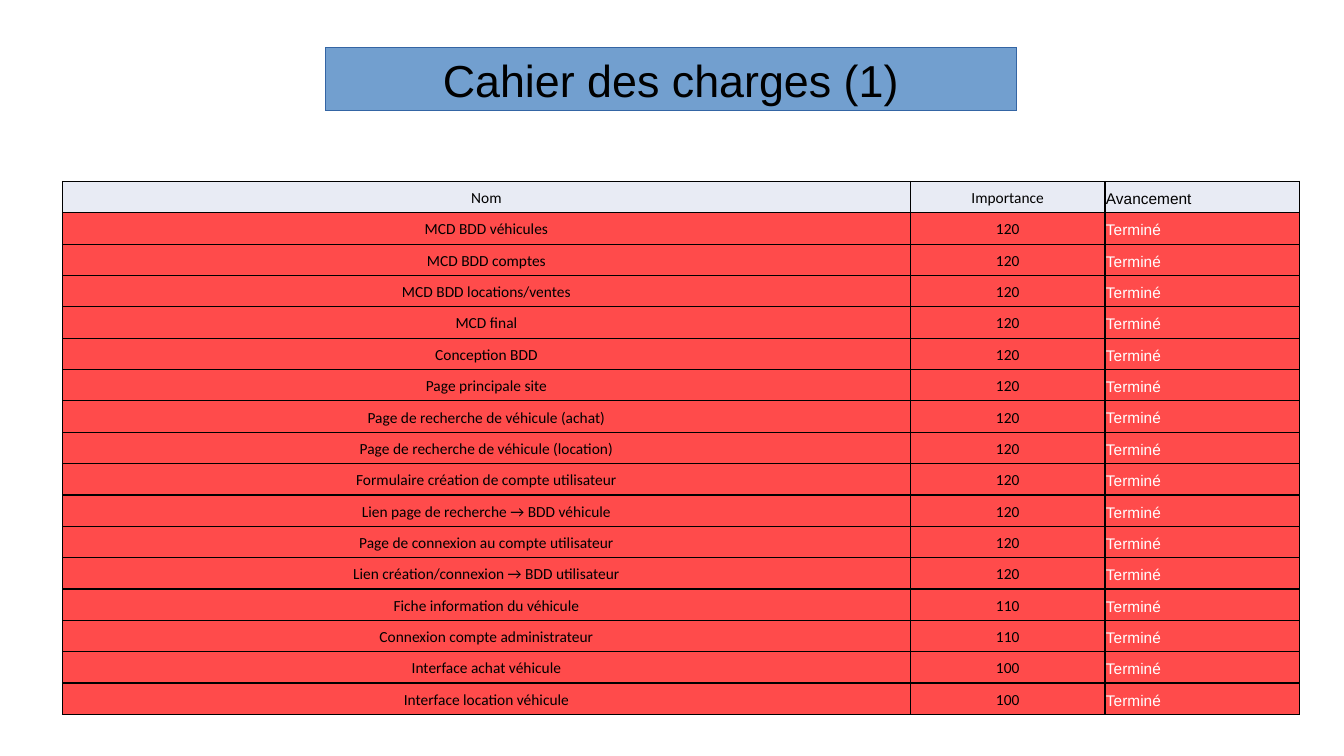
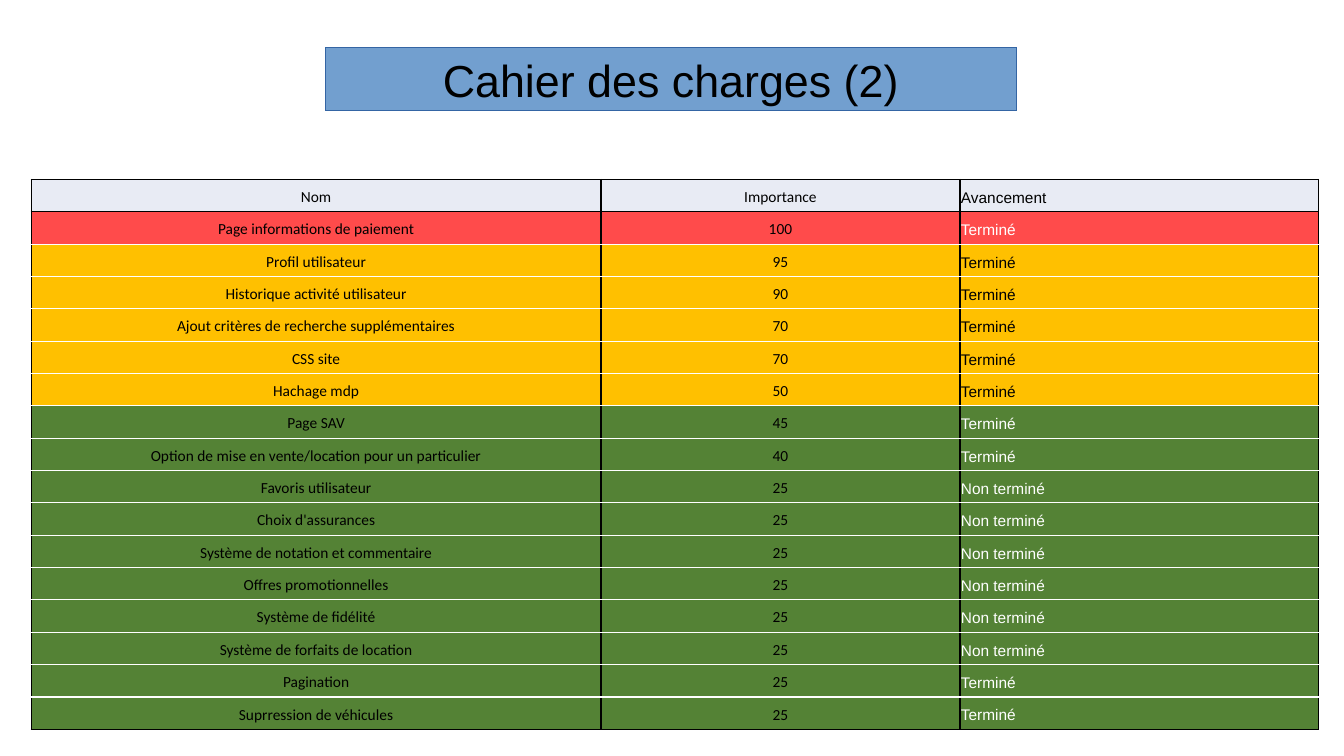
from lxml.etree import SubElement as Sub
from pptx import Presentation
from pptx.dml.color import RGBColor
from pptx.enum.text import MSO_ANCHOR as Anchor, PP_ALIGN as Align
from pptx.oxml.ns import qn
from pptx.util import Inches, Pt

WIDE, HIGH = Inches(13.33), Inches(7.5)
BLACK, WHITE = "000000", "FFFFFF"
BLUE, NAVY, PALE = "729FCF", "3465A4", "E8EBF4"
RED, AMBER, GREEN = "FF4B4B", "FFC000", "548235"
DONE, OPEN = "Terminé", "Non terminé"

# Boxes are left, top, width, height in percent of the slide.
BAND = (24.23, 6.27, 51.39, 8.4)
HEAD = ("Nom", "Importance", "Avancement")

TASKS_1 = [
    ("MCD BDD véhicules", 120, DONE),
    ("MCD BDD comptes", 120, DONE),
    ("MCD BDD locations/ventes", 120, DONE),
    ("MCD final", 120, DONE),
    ("Conception BDD", 120, DONE),
    ("Page principale site", 120, DONE),
    ("Page de recherche de véhicule (achat)", 120, DONE),
    ("Page de recherche de véhicule (location)", 120, DONE),
    ("Formulaire création de compte utilisateur", 120, DONE),
    ("Lien page de recherche → BDD véhicule", 120, DONE),
    ("Page de connexion au compte utilisateur", 120, DONE),
    ("Lien création/connexion → BDD utilisateur", 120, DONE),
    ("Fiche information du véhicule", 110, DONE),
    ("Connexion compte administrateur", 110, DONE),
    ("Interface achat véhicule", 100, DONE),
    ("Interface location véhicule", 100, DONE),
]
TASKS_2 = [
    ("Page informations de paiement", 100, DONE),
    ("Profil utilisateur", 95, DONE),
    ("Historique activité utilisateur", 90, DONE),
    ("Ajout critères de recherche supplémentaires", 70, DONE),
    ("CSS site", 70, DONE),
    ("Hachage mdp", 50, DONE),
    ("Page SAV", 45, DONE),
    ("Option de mise en vente/location pour un particulier", 40, DONE),
    ("Favoris utilisateur", 25, OPEN),
    ("Choix d'assurances", 25, OPEN),
    ("Système de notation et commentaire", 25, OPEN),
    ("Offres promotionnelles", 25, OPEN),
    ("Système de fidélité", 25, OPEN),
    ("Système de forfaits de location", 25, OPEN),
    ("Pagination", 25, DONE),
    ("Suprression de véhicules", 25, DONE),
]


def scale(box):
    """Turn a box in percent into slide units."""
    return [round(part * side / 100)
            for part, side in zip(box, (WIDE, HIGH, WIDE, HIGH))]


def paint(fmt, tint):
    fmt.solid()
    fmt.fore_color.rgb = RGBColor.from_string(tint)


def write(frame, text, font, size, tint, align):
    para = frame.paragraphs[0]
    para.alignment = align
    run = para.add_run()
    run.text = text
    run.font.name, run.font.size = font, Pt(size)
    paint(run.font.fill, tint)


def place_title(slide, text):
    title = slide.shapes.title
    title.left, title.top, title.width, title.height = scale(BAND)
    paint(title.fill, BLUE)
    paint(title.line.fill, NAVY)
    title.line.width = 0
    title.text_frame.vertical_anchor = Anchor.MIDDLE
    write(title.text_frame, text, "Arial", 32, BLACK, Align.CENTER)


def edge(cell, **sides):
    """Draw cell borders; sides come in the order L, R, T, B."""
    props = cell._tc.get_or_add_tcPr()
    for side, tint in sides.items():
        line = Sub(props, qn("a:ln" + side), w=str(Pt(0.96)))
        Sub(Sub(line, qn("a:solidFill")), qn("a:srgbClr"), val=tint)


def rank(level):
    """Row colour for a level of importance."""
    return RED if level >= 100 else AMBER if level >= 50 else GREEN


def fill_cell(cell, text, back, state, ends):
    """Fill one cell; state marks the progress column."""
    cell.margin_left = cell.margin_right = Inches(0.01)
    cell.vertical_anchor = Anchor.BOTTOM
    edge(cell, L=BLACK, R=BLACK, T=ends[0], B=ends[1])
    paint(cell.fill, back)
    if state:
        tint = WHITE if back in (RED, GREEN) else BLACK
        write(cell.text_frame, text, "Arial", 11, tint, Align.LEFT)
    else:
        write(cell.text_frame, text, "Calibri", 11, BLACK, Align.CENTER)


def place_table(slide, box, shares, tasks, inner):
    """Place the task table; inner colours the lines between tasks."""
    rows = [HEAD, *tasks]
    count = len(rows)
    x, y, w, h = scale(box)
    table = slide.shapes.add_table(count, len(HEAD), x, y, w, h).table
    table.first_row = table.horz_banding = False
    for col, share in zip(table.columns, shares):
        col.width = round(w * share / sum(shares))
    rules = [BLACK, BLACK] + [inner] * (count - 2) + [BLACK]
    for r, row in enumerate(rows):
        table.rows[r].height = round(h / count)
        back = rank(row[1]) if r else PALE
        for c, value in enumerate(row):
            fill_cell(table.cell(r, c), str(value), back, c == 2,
                      rules[r:r + 2])


def main():
    deck = Presentation()
    deck.slide_width, deck.slide_height = WIDE, HIGH
    pages = [
        ((4.65, 24, 92.05, 70.53), (8.41, 1.93, 1.93), TASKS_1, BLACK),
        ((2.33, 23.73, 95.8, 72.8), (5.65, 3.56, 3.56), TASKS_2, WHITE),
    ]
    for num, page in enumerate(pages, 1):
        slide = deck.slides.add_slide(deck.slide_layouts[5])
        place_title(slide, f"Cahier des charges ({num})")
        place_table(slide, *page)
    deck.save("out.pptx")


if __name__ == "__main__":
    main()
